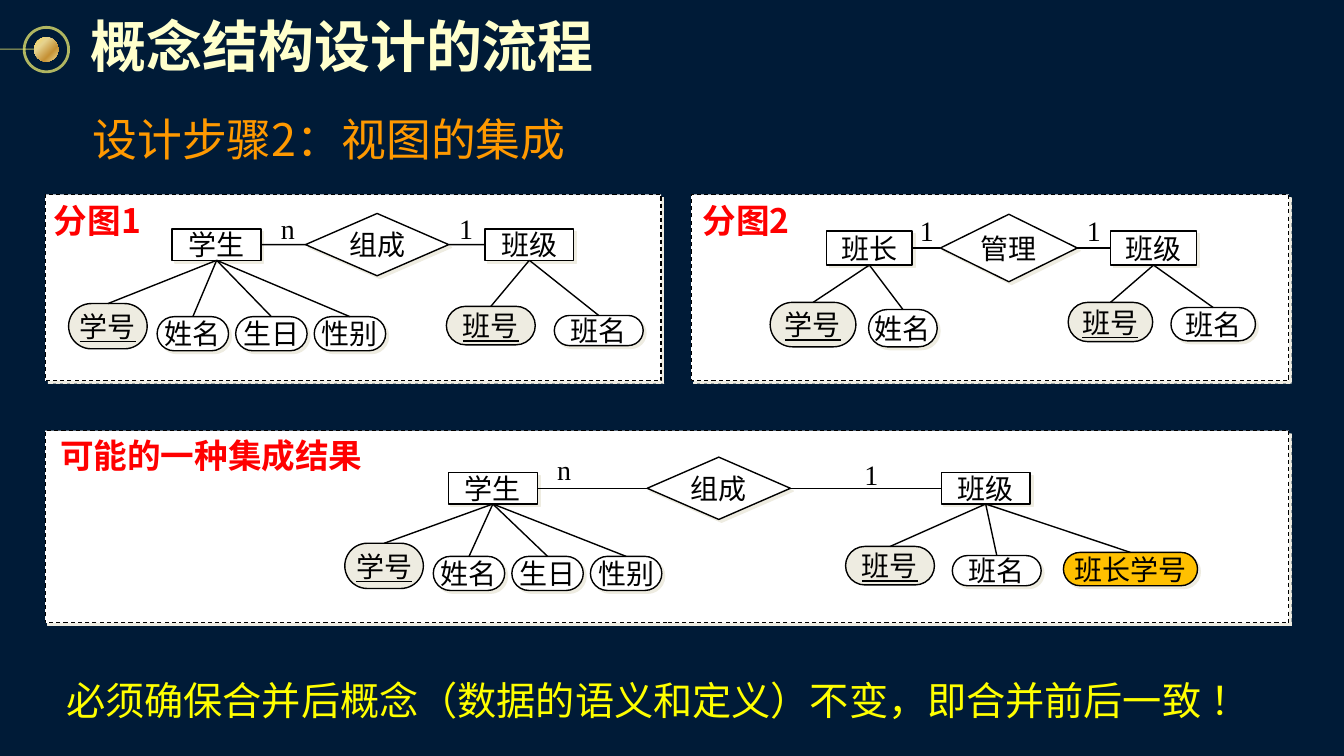
"""Build the slide on merging partial E-R views into one concept model."""
from lxml.etree import SubElement
from pptx import Presentation
from pptx.dml.color import RGBColor
from pptx.enum.dml import MSO_LINE
from pptx.enum.shapes import MSO_CONNECTOR, MSO_SHAPE
from pptx.enum.text import MSO_ANCHOR, PP_ALIGN
from pptx.oxml import parse_xml
from pptx.oxml.ns import nsdecls, qn
from pptx.util import Cm, Pt

HUES = {
    "navy": "001B37", "cream": "FFFFCC", "white": "FFFFFF", "black": "000000",
    "tan": "EEECE1", "gold": "FFC000", "red": "FF0000", "orange": "FF9900",
    "yellow": "FFFF00", "ring": "FCF873",
}
RGB = {name: RGBColor.from_string(code) for name, code in HUES.items()}
SANS, SERIF = "Noto Sans CJK SC", "Times New Roman"
TOP, LEFT, BOTTOM, RIGHT = range(4)

deck = Presentation()
deck.slide_width, deck.slide_height = Cm(33.87), Cm(19.05)
slide = deck.slides.add_slide(deck.slide_layouts[6])
slide.background.fill.solid()
slide.background.fill.fore_color.rgb = RGB["navy"]


def put(text, box, kind=None, fill="white", width=1, shade=True, size=20,
        font=SERIF, color="black", bold=False, under=False, wrap=False,
        align=PP_ALIGN.CENTER, anchor=MSO_ANCHOR.MIDDLE, pad=0):
    """Add a shape, or a text box when no kind is given."""
    spot = [Cm(part) for part in box]
    if kind is None:
        item = slide.shapes.add_textbox(*spot)
    else:
        item = slide.shapes.add_shape(kind, *spot)
        item.shadow.inherit = False
        item.fill.solid()
        item.fill.fore_color.rgb = RGB[fill]
        item.line.color.rgb = RGB["black"]
        item.line.width = Pt(width)
        if kind == MSO_SHAPE.ROUNDED_RECTANGLE:
            item.adjustments[0] = 0.5
        if shade:
            cast = SubElement(item._element.spPr.find(qn("a:effectLst")),
                              qn("a:outerShdw"), dist="35560", dir="2700000")
            SubElement(cast, qn("a:srgbClr"), val=HUES["tan"])
    if text:
        frame = item.text_frame
        frame.word_wrap = wrap
        frame.vertical_anchor = anchor
        frame.margin_left = frame.margin_right = Cm(pad)
        frame.margin_top = frame.margin_bottom = Cm(pad)
        line = frame.paragraphs[0]
        line.alignment = align
        run = line.add_run()
        run.text = text
        run.font.size, run.font.name = Pt(size), font
        run.font.bold, run.font.underline = bold, under
        run.font.color.rgb = RGB[color]
        SubElement(run._r.get_or_add_rPr(), qn("a:ea"), typeface=SANS)
    return item


def link(start=None, out=0, end=None, into=0, span=(0, 0, 0, 0)):
    """Draw a thin line, glued to two shapes when they are given."""
    wire = slide.shapes.add_connector(MSO_CONNECTOR.STRAIGHT, *map(Cm, span))
    if start is not None:
        wire.begin_connect(start, out)
        wire.end_connect(end, into)
    wire.line.color.rgb = RGB["black"]
    wire.line.width = Pt(1)
    SubElement(wire._element.spPr, qn("a:effectLst"))
    return wire


ring = put("", (0.61, 0.69, 1.12, 1.12), MSO_SHAPE.OVAL, width=2, shade=False)
ring.fill.background()
rod = link(span=(0, 1.24, 0.86, 1.24))
rod.line.width = Pt(0.75)
for mark in (ring, rod):
    mark.line.color.rgb = RGB["ring"]
    tint = mark.line._ln.find(".//" + qn("a:srgbClr"))
    SubElement(tint, qn("a:alpha"), val="70000")

ball = put("", (0.86, 0.94, 0.61, 0.61), MSO_SHAPE.OVAL, shade=False)
ball.line.fill.background()
ball.fill.gradient()
ball.fill.gradient_angle = 315
stops = ball._element.spPr.find(".//" + qn("a:gsLst"))
for stop in list(stops):
    stops.remove(stop)
for pos, code in ((0, "FCD860"), (31, "E6D38F"), (68, "C69135"), (100, "F1DF97")):
    stop = SubElement(stops, qn("a:gs"), pos=str(pos * 1000))
    SubElement(stop, qn("a:srgbClr"), val=code)

head = put("概念结构设计的流程", (2.08, 0.08, 13.23, 2.11), size=40, font="Arial",
           color="cream", bold=True, align=PP_ALIGN.LEFT, pad=0.2)
glow = parse_xml(
    f'<a:effectLst {nsdecls("a")}><a:outerShdw dist="35560" dir="2700000">'
    '<a:srgbClr val="000000"/></a:outerShdw></a:effectLst>')
head.text_frame.paragraphs[0].runs[0]._r.rPr.find(qn("a:latin")).addprevious(glow)
put("设计步骤2：视图的集成", (2.08, 2.67, 24.89, 1.63), size=32, font=SANS,
    color="orange", align=PP_ALIGN.LEFT, wrap=True, pad=0.25)

VIEWS = [
    {"panel": (1.14, 4.9, 15.52, 4.7),
     "title": ("分图1", (0.74, 5.05, 3.43, 1.02)),
     "bond": ("组成", (7.7, 5.38, 3.61, 1.57)),
     "ends": [
         ("学生", (4.34, 5.77, 2.24, 0.79), [
             ("学号", (1.73, 7.65, 1.98, 1.14), "tan"),
             ("姓名", (3.96, 7.98, 1.8, 0.86), "white"),
             ("生日", (5.94, 7.98, 1.8, 0.86), "white"),
             ("性别", (7.92, 7.98, 1.8, 0.86), "white")]),
         ("班级", (12.22, 5.77, 2.24, 0.79), [
             ("班号", (11.25, 7.72, 2.24, 0.97), "tan"),
             ("班名", (13.97, 7.95, 2.24, 0.76), "white")])],
     "counts": [("n", (6.58, 5.36, 1.35, 0.79)), ("1", (11.07, 5.36, 1.35, 0.79))]},
    {"panel": (17.42, 4.9, 15.06, 4.7),
     "title": ("分图2", (17.09, 5.05, 3.43, 1.02)),
     "bond": ("管理", (23.7, 5.4, 3.45, 1.7)),
     "ends": [
         ("班长", (20.83, 5.82, 2.16, 0.86), [
             ("学号", (19.41, 7.62, 2.16, 1.12), "tan"),
             ("姓名", (21.89, 7.8, 1.73, 0.94), "white")]),
         ("班级", (27.99, 5.82, 2.16, 0.86), [
             ("班号", (26.92, 7.62, 2.13, 0.99), "tan"),
             ("班名", (29.51, 7.75, 2.13, 0.84), "white")])],
     "counts": [("1", (22.71, 5.38, 1.3, 0.86)), ("1", (26.92, 5.38, 1.3, 0.86))]},
    {"panel": (1.14, 10.85, 31.34, 4.85),
     "title": ("可能的一种集成结果", (1.35, 10.95, 7.95, 1.02)),
     "bond": ("组成", (16.31, 11.52, 3.61, 1.57)),
     "ends": [
         ("学生", (11.3, 11.91, 2.24, 0.79), [
             ("学号", (8.69, 13.69, 1.98, 1.14), "tan"),
             ("姓名", (10.92, 14.02, 1.8, 0.86), "white"),
             ("生日", (12.9, 14.02, 1.8, 0.86), "white"),
             ("性别", (14.88, 14.02, 1.8, 0.86), "white")]),
         ("班级", (23.72, 11.91, 2.24, 0.79), [
             ("班号", (21.31, 13.77, 2.24, 0.97), "tan"),
             ("班名", (24, 14, 2.24, 0.76), "white"),
             ("班长学号", (26.8, 13.92, 3.38, 0.84), "gold")])],
     "counts": [("n", (13.54, 11.43, 1.35, 0.79)), ("1", (21.31, 11.51, 1.3, 0.86))]},
]

for view in VIEWS:
    panel = put("", view["panel"], MSO_SHAPE.RECTANGLE, width=0.75)
    panel.line.dash_style = MSO_LINE.DASH
    bond = put(*view["bond"], MSO_SHAPE.DIAMOND)
    for (name, box, traits), side, back in zip(
            view["ends"], (LEFT, RIGHT), (RIGHT, LEFT)):
        owner = put(name, box, MSO_SHAPE.RECTANGLE)
        link(owner, back, bond, side)
        for trait, place, fill in traits:
            key = fill == "tan"
            oval = put(trait, place, MSO_SHAPE.ROUNDED_RECTANGLE, fill=fill,
                       shade=not key, under=key, font=SANS if key else SERIF)
            link(owner, BOTTOM, oval, TOP)
    for count, box in view["counts"]:
        put(count, box)
    put(*view["title"], size=24, font=SANS, color="red", bold=True, wrap=True,
        anchor=MSO_ANCHOR.TOP)

put("必须确保合并后概念（数据的语义和定义）不变，即合并前后一致 ！",
    (1.42, 16.84, 31.34, 1.6), size=28, font=SANS, color="yellow",
    align=PP_ALIGN.LEFT, wrap=True, pad=0.25)

deck.save("out.pptx")
